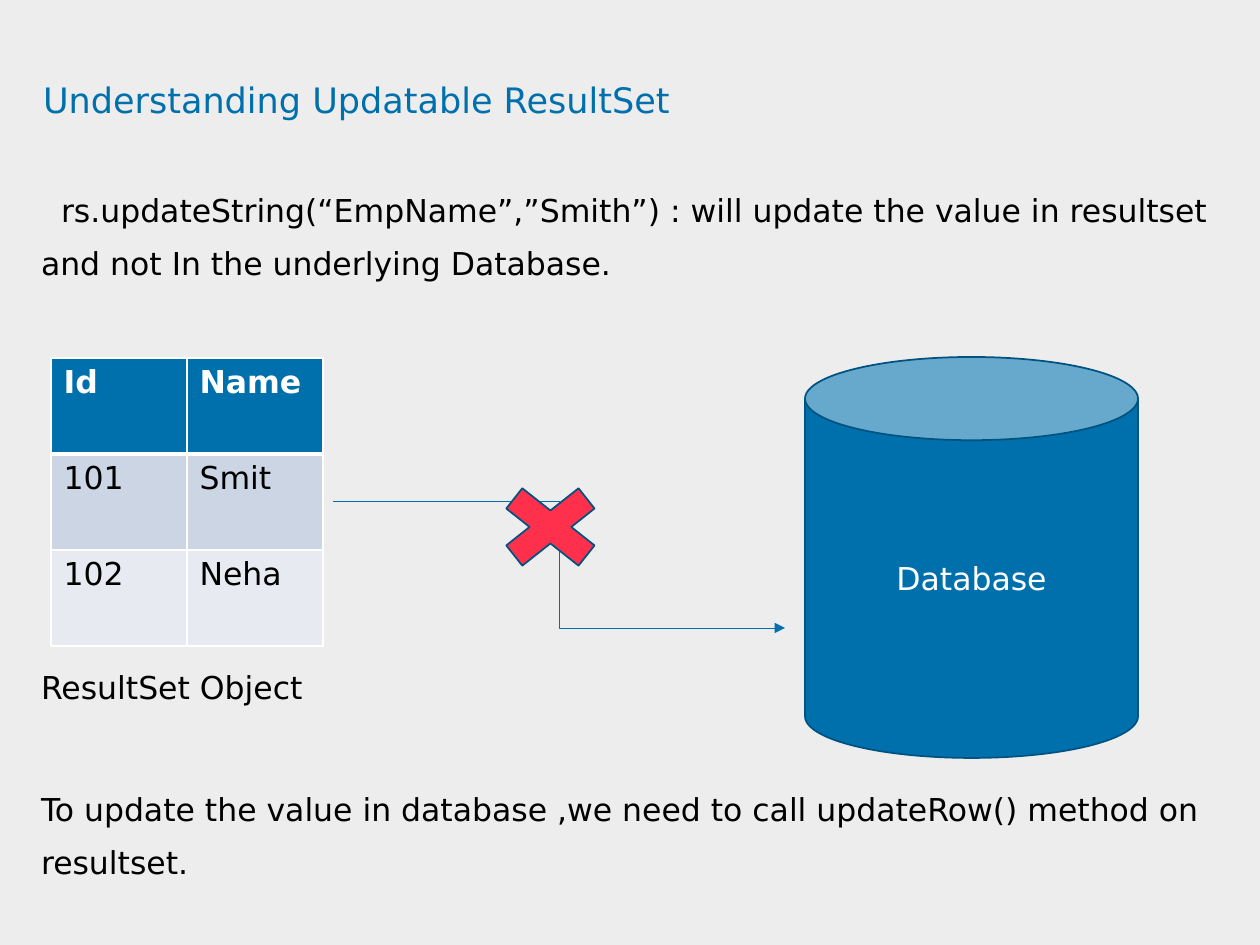
from lxml.etree import SubElement
from pptx import Presentation
from pptx.dml.color import RGBColor
from pptx.enum.shapes import MSO_CONNECTOR, MSO_SHAPE
from pptx.enum.text import MSO_ANCHOR, PP_ALIGN
from pptx.oxml.ns import qn
from pptx.util import Emu, Pt

FONT = "DejaVu Sans"
BLUE = RGBColor(0x00, 0x70, 0xAD)
DARK_BLUE = RGBColor(0x00, 0x53, 0x80)
RED = RGBColor(0xFF, 0x30, 0x4C)
GREY = RGBColor(0xED, 0xED, 0xED)
WHITE = RGBColor(0xFF, 0xFF, 0xFF)
BLACK = RGBColor(0x00, 0x00, 0x00)
ROW_FILLS = [BLUE, RGBColor(0xCC, 0xD5, 0xE3), RGBColor(0xE7, 0xEB, 0xF1)]
EMPLOYEES = [("Id", "Name"), ("101", "Smit"), ("102", "Neha")]


def px(length):
    return Emu(round(length * 914400 / 126))


def scaled(box):
    return [px(length) for length in box]


def add_run(paragraph, text, color, size=18, bold=False):
    run = paragraph.add_run()
    run.text = text
    run.font.name = FONT
    run.font.size = Pt(size)
    run.font.bold = bold
    run.font.color.rgb = color


def clear_insets(frame):
    frame.word_wrap = True
    frame.vertical_anchor = MSO_ANCHOR.TOP
    frame.margin_left = frame.margin_top = frame.margin_right = frame.margin_bottom = 0


def add_title(slide, box, text):
    title = slide.shapes.title
    title.left, title.top, title.width, title.height = scaled(box)
    clear_insets(title.text_frame)
    paragraph = title.text_frame.paragraphs[0]
    paragraph.alignment = PP_ALIGN.LEFT
    paragraph.line_spacing = 1.5
    add_run(paragraph, text, BLUE, size=20)


def add_statement(slide, box, text, first_indent=0):
    frame = slide.shapes.add_textbox(*scaled(box)).text_frame
    clear_insets(frame)
    paragraph = frame.paragraphs[0]
    paragraph.line_spacing = 1.4
    paragraph._p.get_or_add_pPr().set("indent", str(px(first_indent)))
    add_run(paragraph, text, BLACK)


def set_cell_borders(cell, bottom_width):
    properties = cell._tc.get_or_add_tcPr()
    widths = {"a:lnL": 1, "a:lnR": 1, "a:lnT": 1, "a:lnB": bottom_width}
    for position, (side, width) in enumerate(widths.items()):
        border = SubElement(properties, qn(side), w=str(Pt(width)))
        fill = SubElement(border, qn("a:solidFill"))
        SubElement(fill, qn("a:srgbClr"), val=str(WHITE))
        properties.insert(position, border)  # borders precede the cell fill


def add_result_set(slide, box):
    table = slide.shapes.add_table(len(EMPLOYEES), len(EMPLOYEES[0]), *scaled(box)).table
    for row, (values, fill) in enumerate(zip(EMPLOYEES, ROW_FILLS)):
        is_header = row == 0
        for column, value in enumerate(values):
            cell = table.cell(row, column)
            cell.fill.solid()
            cell.fill.fore_color.rgb = fill
            set_cell_borders(cell, bottom_width=3 if is_header else 1)
            add_run(cell.text_frame.paragraphs[0], value,
                    WHITE if is_header else BLACK, bold=is_header)


def add_outlined_shape(slide, preset, box, fill):
    shape = slide.shapes.add_shape(preset, *scaled(box))
    shape.shadow.inherit = False
    shape.fill.solid()
    shape.fill.fore_color.rgb = fill
    shape.line.color.rgb = DARK_BLUE
    shape.line.width = Pt(1)
    return shape


def add_database(slide, box):
    database = add_outlined_shape(slide, MSO_SHAPE.CAN, box, BLUE)
    database.text_frame.vertical_anchor = MSO_ANCHOR.MIDDLE
    label = database.text_frame.paragraphs[0]
    label.alignment = PP_ALIGN.CENTER
    add_run(label, "Database", WHITE)


def add_blocked_update(slide, box):
    """Draw an elbow arrow across the box, crossed out near its first bend."""
    left, top, width, height = box
    arrow = slide.shapes.add_connector(
        MSO_CONNECTOR.ELBOW, *scaled((left, top, left + width, top + height)))
    arrow.line.color.rgb = BLUE
    arrow.line.width = Pt(0.5)
    SubElement(arrow.line._get_or_add_ln(), qn("a:tailEnd"), type="triangle")
    SubElement(arrow._element.spPr, qn("a:effectLst"))
    add_outlined_shape(slide, MSO_SHAPE.MATH_MULTIPLY,
                       (left + 148, top - 29, 139, 110), RED)


def main():
    presentation = Presentation()
    presentation.slide_width, presentation.slide_height = px(1260), px(945)
    slide = presentation.slides.add_slide(presentation.slide_layouts[5])
    slide.background.fill.solid()
    slide.background.fill.fore_color.rgb = GREY

    add_title(slide, (43, 58, 1145, 118), "Understanding Updatable ResultSet")
    add_statement(
        slide, (41, 176, 1218, 110),
        "rs.updateString(“EmpName”,”Smith”) : will update the value in resultset "
        "and not In the underlying Database.", first_indent=20)
    add_result_set(slide, (51, 358, 272, 288))
    add_statement(slide, (41, 653, 400, 55), "ResultSet Object")
    add_database(slide, (805, 357, 333, 401))
    add_blocked_update(slide, (333, 501, 452, 127))
    add_statement(
        slide, (41, 775, 1218, 110),
        "To update the value in database ,we need to call updateRow() method on resultset.")
    presentation.save("out.pptx")


if __name__ == "__main__":
    main()
